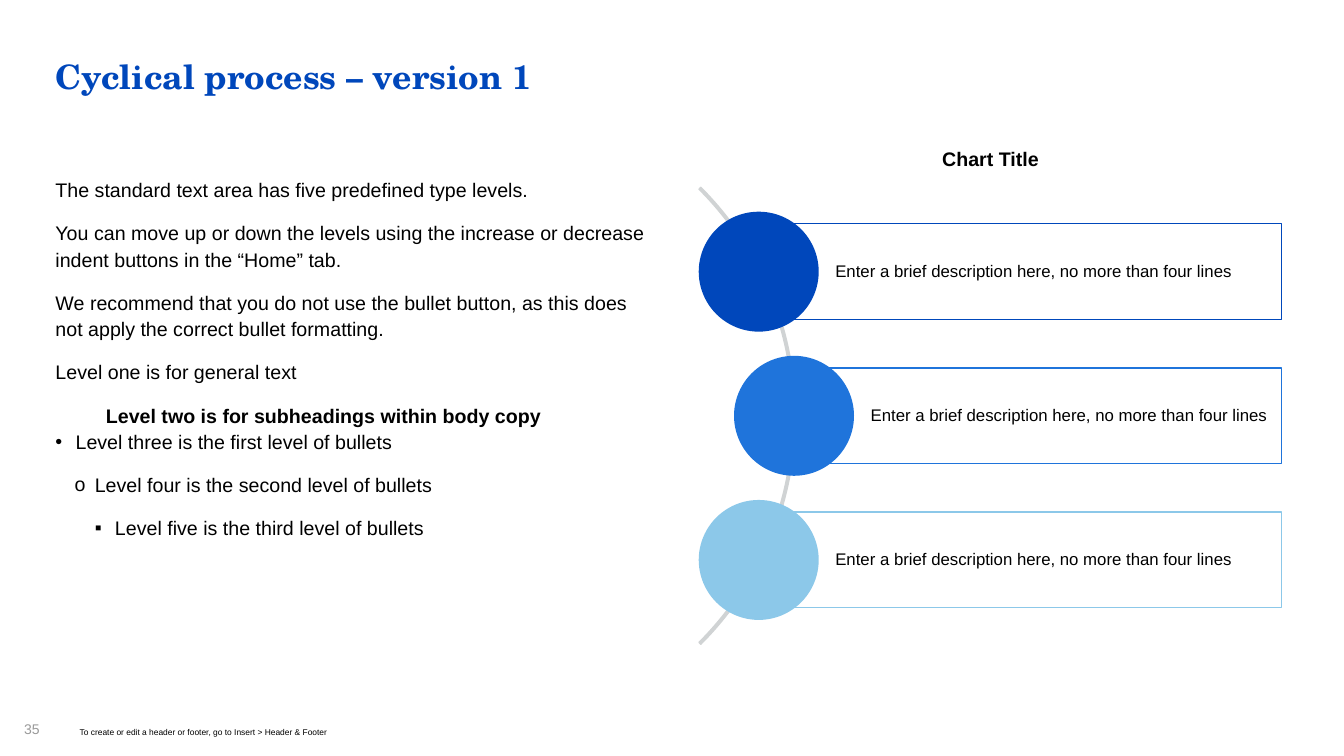
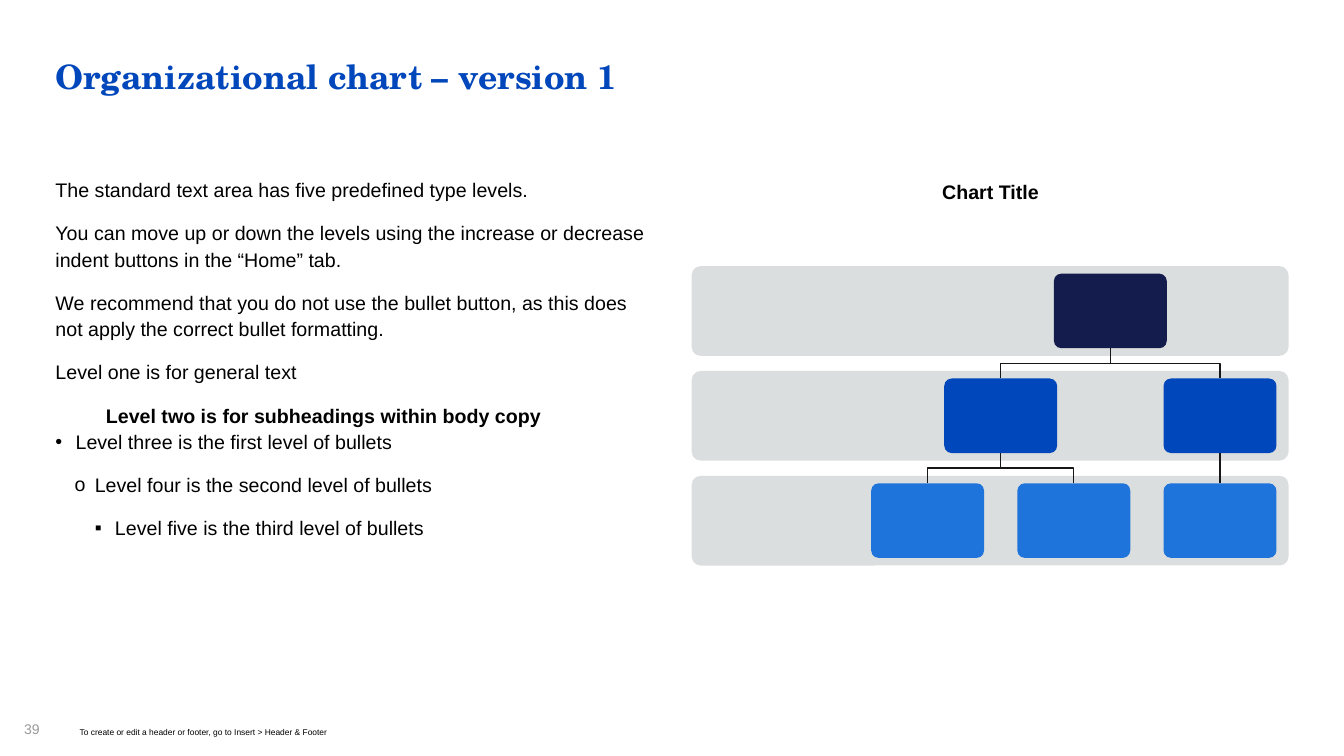
"""Build a cyclical process slide and an organizational chart slide."""
import lxml.etree
import pptx
import pptx.dml.color
import pptx.enum.shapes
import pptx.enum.text
import pptx.oxml.ns
import pptx.util

Inches, Pt = pptx.util.Inches, pptx.util.Pt
SHAPE = pptx.enum.shapes.MSO_SHAPE
ALIGN = pptx.enum.text.PP_ALIGN
ANCHOR = pptx.enum.text.MSO_ANCHOR
qn = pptx.oxml.ns.qn

COLORS = {
    "blue": "0047BB", "mid": "1F74DB", "sky": "8CC8E9", "navy": "141B4D",
    "gray": "D0D3D4", "number": "999999", "line": "171717", "black": "000000",
}
FOOTER = "To create or edit a header or footer, go to Insert > Header & Footer"
BODY = [
    ("The standard text area has five predefined type levels.", 0),
    ("You can move up or down the levels using the increase or decrease "
     "indent buttons in the “Home” tab.", 0),
    ("We recommend that you do not use the bullet button, as this does "
     "not apply the correct bullet formatting.", 0),
    ("Level one is for general text", 0),
    ("Level two is for subheadings within body copy", 1),
    ("Level three is the first level of bullets", 2),
    ("Level four is the second level of bullets", 3),
    ("Level five is the third level of bullets", 4),
]
BULLETS = {2: ("•", 0.2), 3: ("o", 0.39), 4: ("▪", 0.59)}
SUBHEADING = 1

STEP_TEXT = "Enter a brief description here, no more than four lines"
STEPS = [(STEP_TEXT, "blue", 6.93), (STEP_TEXT, "mid", 7.28), (STEP_TEXT, "sky", 6.93)]
STEP_TOP, STEP_PITCH, CIRCLE, STEP_HEIGHT, STEP_RIGHT = 2.1, 1.43, 1.19, 0.95, 12.71

TIER_COLORS = ["navy", "blue", "mid"]
BAND_LEFT, BAND_TOP, BAND_WIDTH, BAND_HEIGHT, BAND_PITCH = 6.86, 2.64, 5.92, 0.89, 1.04
CARD_WIDTH, CARD_HEIGHT, CARD_PITCH, FIRST_CENTER = 1.12, 0.74, 1.45, 9.2
CARDS = {
    "head": (0, 1.25, None),
    "left manager": (1, 0.5, "head"),
    "right manager": (1, 2, "head"),
    "first member": (2, 0, "left manager"),
    "second member": (2, 1, "left manager"),
    "third member": (2, 2, "right manager"),
}


def rgb(name):
    return pptx.dml.color.RGBColor.from_string(COLORS[name])


def set_bullet(para, level):
    char, left = BULLETS[level]
    props = para._p.get_or_add_pPr()
    props.set("marL", str(Inches(left)))
    props.set("indent", str(Inches(-0.2)))
    lxml.etree.SubElement(props, qn("a:buFont"), typeface="Arial")
    lxml.etree.SubElement(props, qn("a:buChar"), char=char)


def write(box, text, size=14, font="Arial", color="black", bold=False, align=ALIGN.LEFT,
          anchor=ANCHOR.TOP, insets=(0, 0, 0, 0), spacing=0.9, after=0, wrap=True):
    """Fill a shape with a string or a list of (string, level) pairs."""
    frame = box.text_frame
    frame.word_wrap = wrap
    frame.vertical_anchor = anchor
    frame.margin_left, frame.margin_top, frame.margin_right, frame.margin_bottom = map(Inches, insets)
    rows = [(text, 0)] if isinstance(text, str) else text
    for index, (words, level) in enumerate(rows):
        para = frame.add_paragraph() if index else frame.paragraphs[0]
        para.level = level
        if level in BULLETS:
            set_bullet(para, level)
        para.alignment = align
        para.line_spacing = spacing
        para.space_after = Pt(0 if level == SUBHEADING else after)
        span = para.add_run()
        span.text = words
        span.font.size, span.font.name = Pt(size), font
        span.font.bold = bold or level == SUBHEADING
        span.font.color.rgb = rgb(color)


def add_text(page, text, left, top, width, height, **style):
    box = page.shapes.add_textbox(*map(Inches, (left, top, width, height)))
    write(box, text, **style)


def add_shape(page, kind, left, top, width, height, fill=None, line=None, adjust=(), alpha=None):
    shape = page.shapes.add_shape(kind, *map(Inches, (left, top, width, height)))
    shape.shadow.inherit = False
    for index, value in enumerate(adjust):
        shape.adjustments[index] = value
    if fill:
        shape.fill.solid()
        shape.fill.fore_color.rgb = rgb(fill)
    else:
        shape.fill.background()
    if alpha:
        tint = next(shape._element.spPr.iter(qn("a:srgbClr")))
        lxml.etree.SubElement(tint, qn("a:alpha"), val=str(alpha * 1000))
    if line:
        shape.line.color.rgb, shape.line.width = rgb(line), Pt(1)
    else:
        shape.line.fill.background()
    return shape


def add_link(page, start_x, start_y, end_x, end_y):
    if start_x == end_x:
        link = page.shapes.add_connector(
            pptx.enum.shapes.MSO_CONNECTOR.STRAIGHT,
            *map(Inches, (start_x, start_y, end_x, end_y)))
        lxml.etree.SubElement(link._element.spPr, qn("a:effectLst"))
    else:
        middle = (start_y + end_y) / 2
        builder = page.shapes.build_freeform(Inches(start_x), Inches(start_y))
        corners = [(start_x, middle), (end_x, middle), (end_x, end_y)]
        builder.add_line_segments([(Inches(x), Inches(y)) for x, y in corners], close=False)
        link = builder.convert_to_shape()
        link.shadow.inherit = False
        link.fill.background()
    link.line.color.rgb, link.line.width = rgb("line"), Pt(1)


def add_page(deck, title, number, chart_title_top):
    page = deck.slides.add_slide(deck.slide_layouts[6])
    add_text(page, title, 0.55, 0.6, 12.23, 1.02,
             size=24, font="TeX Gyre Schola", color="blue", bold=True)
    add_text(page, BODY, 0.55, 1.74, 5.92, 4.76, spacing=1.12, after=12)
    add_text(page, "Chart Title", 9.24, chart_title_top, 1.17, 0.34, bold=True,
             align=ALIGN.CENTER, insets=(0.1, 0.05, 0.1, 0.05), spacing=1.0, wrap=False)
    add_text(page, str(number), 0.24, 7.17, 0.26, 0.33, size=10, color="number")
    add_text(page, FOOTER, 0.79, 7.22, 4.82, 0.28, size=6)
    return page


def draw_cycle(page):
    add_shape(page, SHAPE.BLOCK_ARC, 1.48, 0.92, 6.41, 6.41,
              fill="gray", line="gray", adjust=(189, 27, 0.004))
    for index, (text, color, left) in enumerate(STEPS):
        top = STEP_TOP + index * STEP_PITCH
        box_left = left + CIRCLE / 2
        box = add_shape(page, SHAPE.RECTANGLE, box_left, top + (CIRCLE - STEP_HEIGHT) / 2,
                        STEP_RIGHT - box_left, STEP_HEIGHT, line=color)
        write(box, text, size=12, anchor=ANCHOR.MIDDLE, insets=(0.76, 0.03, 0.03, 0.03))
        add_shape(page, SHAPE.OVAL, left, top, CIRCLE, CIRCLE, fill=color)


def draw_organization(page):
    for tier in range(len(TIER_COLORS)):
        add_shape(page, SHAPE.ROUNDED_RECTANGLE, BAND_LEFT, BAND_TOP + tier * BAND_PITCH,
                  BAND_WIDTH, BAND_HEIGHT, fill="gray", adjust=(0.1,), alpha=75)
    places = {}
    for name, (tier, slot, parent) in CARDS.items():
        center = FIRST_CENTER + slot * CARD_PITCH
        top = BAND_TOP + tier * BAND_PITCH + (BAND_HEIGHT - CARD_HEIGHT) / 2
        places[name] = center, top
        if parent:
            parent_center, parent_top = places[parent]
            add_link(page, parent_center, parent_top + CARD_HEIGHT, center, top)
        add_shape(page, SHAPE.ROUNDED_RECTANGLE, center - CARD_WIDTH / 2, top,
                  CARD_WIDTH, CARD_HEIGHT, fill=TIER_COLORS[tier], adjust=(0.1,))


def main():
    deck = pptx.Presentation()
    deck.slide_width, deck.slide_height = Inches(13.33), Inches(7.5)
    draw_cycle(add_page(deck, "Cyclical process – version 1", 35, 1.41))
    draw_organization(add_page(deck, "Organizational chart – version 1", 39, 1.74))
    deck.save("out.pptx")


if __name__ == "__main__":
    main()
